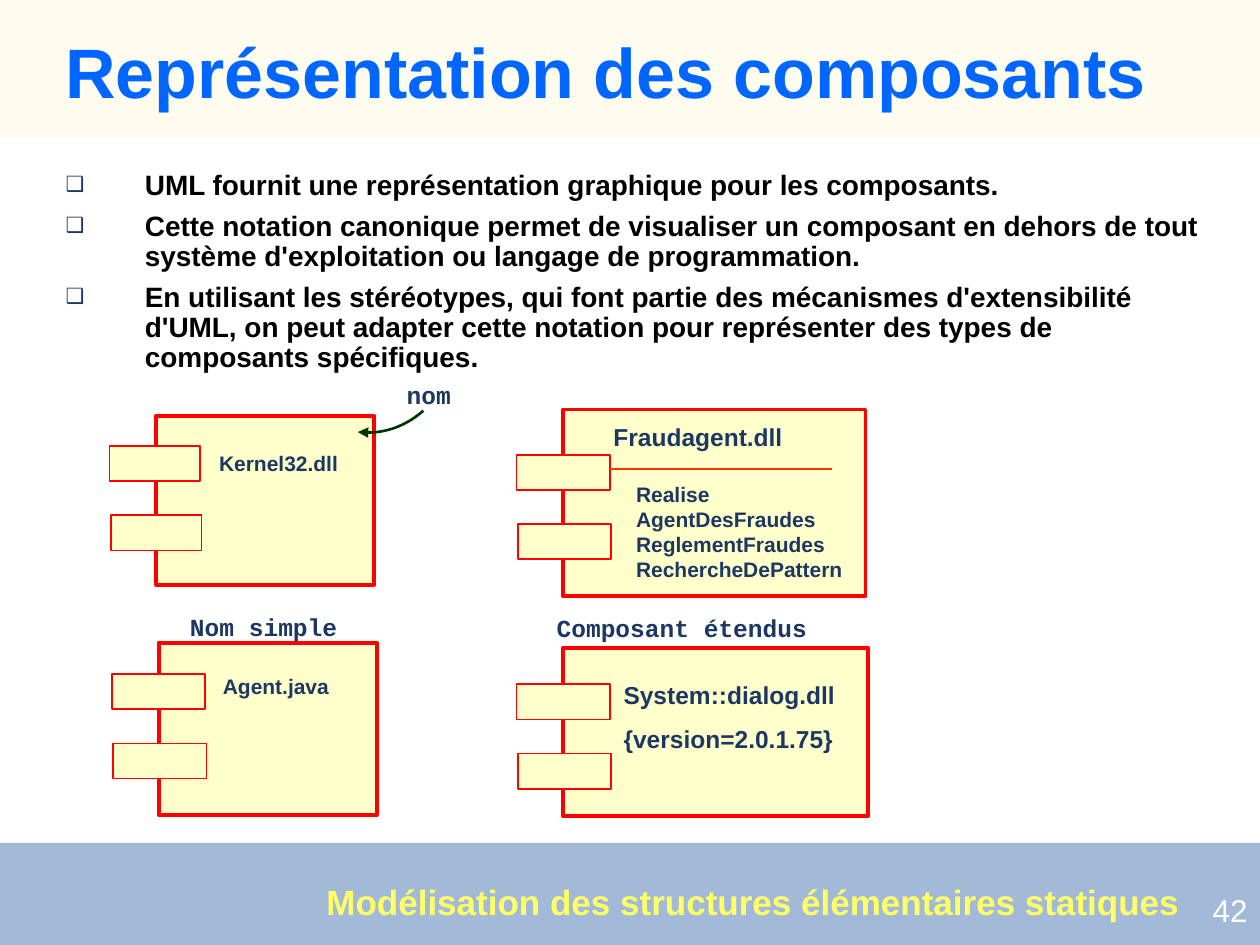
from dataclasses import dataclass

from lxml.etree import SubElement
from pptx import Presentation
from pptx.dml.color import RGBColor as RGB
from pptx.enum.shapes import MSO_CONNECTOR as CONN, MSO_SHAPE as SHAPE
from pptx.enum.text import MSO_ANCHOR as ANCHOR, MSO_AUTO_SIZE as FIT, PP_ALIGN as ALIGN
from pptx.oxml.ns import qn
from pptx.util import Inches, Pt


@dataclass(frozen=True)
class Theme:
    """Colours, fonts and type sizes of the slide."""
    header: str = "FDFCEE"
    footer: str = "A3B9D8"
    title: str = "0066FF"
    body: str = "000000"
    label: str = "1C3862"
    section: str = "FFFF66"
    number: str = "FFFFFF"
    box: str = "FFFFCC"
    border: str = "FF0000"
    divider: str = "FF3300"
    arrow: str = "003300"
    sans: str = "Arial"
    mono: str = "Courier New"
    title_pt: int = 40
    section_pt: int = 20
    number_pt: int = 18
    body_pt: int = 16
    label_pt: int = 14
    small_pt: int = 12


T = Theme()


def write(tf, text, size=T.label_pt, color=T.label, font=T.sans, bold=True,
          align=ALIGN.LEFT, before=0, spacing=None):
    """Fill a text frame with one formatted paragraph per line."""
    for i, line in enumerate(text.split("\n")):
        p = tf.paragraphs[0] if i == 0 else tf.add_paragraph()
        p.alignment = align
        p.space_before = Pt(before)
        p.line_spacing = spacing
        r = p.add_run()
        r.text = line
        r.font.size = Pt(size)
        r.font.name = font
        r.font.bold = bold
        r.font.color.rgb = RGB.from_string(color)


def place(shape, box):
    """Move a shape to a box given in inches."""
    shape.left, shape.top, shape.width, shape.height = map(Inches, box)


def add_label(s, box, text, wrap=True, inset=None, **fmt):
    """Add a text box that grows with its text."""
    tf = s.shapes.add_textbox(*map(Inches, box)).text_frame
    tf.word_wrap = wrap
    tf.auto_size = FIT.SHAPE_TO_FIT_TEXT
    if inset is not None:
        tf.margin_left = tf.margin_right = tf.margin_top = tf.margin_bottom = Inches(inset)
    write(tf, text, **fmt)


def add_box(s, box, fill, border=None, weight=1):
    """Add a flat rectangle with an optional border."""
    sp = s.shapes.add_shape(SHAPE.RECTANGLE, *map(Inches, box))
    sp.shadow.inherit = False
    sp.fill.solid()
    sp.fill.fore_color.rgb = RGB.from_string(fill)
    if border:
        sp.line.color.rgb = RGB.from_string(border)
        sp.line.width = Pt(weight)
    else:
        sp.line.fill.background()


def add_header(s, box):
    """Draw the title band and set the title on it."""
    x, y, w, h = box
    add_box(s, box, T.header)
    title = s.shapes.title
    place(title, (x + 0.42, y + 0.25, w - 0.63, 0.7))
    tf = title.text_frame
    tf.auto_size = FIT.NONE
    tf.vertical_anchor = ANCHOR.MIDDLE
    write(tf, "Représentation des composants", size=T.title_pt, color=T.title, spacing=0.9)


def add_footer(s, box):
    """Draw the bottom band with the section name and page number."""
    x, y, w, h = box
    add_box(s, box, T.footer)
    add_label(s, (x + 2.59, y + 0.3, 6.78, 0.33),
              "Modélisation des structures élémentaires statiques",
              wrap=False, inset=0, size=T.section_pt, color=T.section)
    add_label(s, (x + w - 0.98, y + 0.33, 0.98, 0.4), "42", size=T.number_pt,
              color=T.number, bold=False, align=ALIGN.RIGHT, before=11)


def add_bullets(s, box, lines):
    """Fill the body placeholder with a square-bulleted list."""
    body = s.placeholders[1]
    place(body, box)
    tf = body.text_frame
    tf.auto_size = FIT.NONE
    tf.vertical_anchor = ANCHOR.TOP
    write(tf, "\n".join(lines), size=T.body_pt, color=T.body, before=6, spacing=0.9)
    for p in tf.paragraphs:
        pPr = p._p.get_or_add_pPr()
        pPr.set("marL", str(Inches(0.63)))
        pPr.set("indent", str(-Inches(0.63)))
        SubElement(SubElement(pPr, qn("a:buClr")), qn("a:srgbClr"), val=T.label)
        SubElement(pPr, qn("a:buSzPct"), val="75000")
        SubElement(pPr, qn("a:buChar"), char="❑")


def add_component(s, box, tab_top, tab_width=0.74):
    """Draw a UML component: a body with two tabs on its left edge."""
    x, y, w, h = box
    add_box(s, box, T.box, T.border, 2.25)
    for i in range(2):
        tab = (x - 0.37 + 0.01 * i, y + tab_top + 0.55 * i, tab_width, 0.28)
        add_box(s, tab, T.box, T.border)


def add_divider(s, x, y, width):
    """Draw the thin line below a component name."""
    line = s.shapes.add_connector(CONN.STRAIGHT, *map(Inches, (x, y, x + width, y)))
    line.line.color.rgb = RGB.from_string(T.divider)
    line.line.width = Pt(1)
    SubElement(line._element.spPr, qn("a:effectLst"))


def add_curved_arrow(s, start, bend1, bend2, end, steps=16):
    """Draw a cubic curve with an arrowhead at its start."""
    def point(t):
        weights = ((1 - t) ** 3, 3 * t * (1 - t) ** 2, 3 * t * t * (1 - t), t ** 3)
        return tuple(Inches(sum(k * v for k, v in zip(weights, axis)))
                     for axis in zip(start, bend1, bend2, end))

    fb = s.shapes.build_freeform(*point(0))
    fb.add_line_segments([point(i / steps) for i in range(1, steps + 1)], close=False)
    sp = fb.convert_to_shape()
    sp.shadow.inherit = False
    sp.fill.background()
    sp.line.color.rgb = RGB.from_string(T.arrow)
    sp.line.width = Pt(1.5)
    SubElement(sp.line._get_or_add_ln(), qn("a:headEnd"), type="triangle")


def add_simple_names(s, x, y):
    """Place the two components with simple names."""
    add_component(s, (x, y, 1.73, 1.34), 0.24, 0.72)
    add_label(s, (x + 0.4, y + 0.23, 1.42, 0.3), "Kernel32.dll", size=T.small_pt, before=7)
    add_curved_arrow(s, (x + 1.6, y + 0.13), (x + 1.78, y + 0.15),
                     (x + 1.96, y + 0.1), (x + 2.12, y - 0.04))
    add_label(s, (x + 1.89, y - 0.33, 0.76, 0.33), "nom", font=T.mono, before=8)
    add_component(s, (x + 0.02, y + 1.8, 1.73, 1.37), 0.25)
    add_label(s, (x + 0.43, y + 2, 1.42, 0.3), "Agent.java", size=T.small_pt, before=7)
    add_label(s, (x + 0.17, y + 1.51, 1.7, 0.33), "Nom simple", font=T.mono, before=8)


def add_extended(s, x, y):
    """Place the two extended components."""
    add_component(s, (x, y, 2.4, 1.48), 0.36)
    add_label(s, (x + 0.48, y + 0.52, 1.87, 0.9),
              "Realise\nAgentDesFraudes\nReglementFraudes\nRechercheDePattern", size=T.small_pt)
    add_label(s, (x + 0.3, y + 0.05, 1.88, 0.33), "Fraudagent.dll", before=8)
    add_divider(s, x + 0.37, y + 0.47, 1.76)
    add_component(s, (x, y + 1.89, 2.42, 1.34), 0.29)
    add_label(s, (x - 0.15, y + 1.57, 2.26, 0.33), "Composant étendus", font=T.mono, before=8)
    add_label(s, (x + 0.38, y + 2.1, 1.89, 0.68),
              "System::dialog.dll\n{version=2.0.1.75}", before=8)


def main():
    """Build the slide and save it."""
    prs = Presentation()
    prs.slide_width, prs.slide_height = Inches(10), Inches(7.5)
    s = prs.slides.add_slide(prs.slide_layouts[1])
    add_header(s, (0, 0, 10, 1.09))
    add_footer(s, (0, 6.69, 10, 0.81))
    add_bullets(s, (0.42, 1.31, 9.38, 1.71), (
        "UML fournit une représentation graphique pour les composants.",
        "Cette notation canonique permet de visualiser un composant en dehors de tout "
        "système d'exploitation ou langage de programmation.",
        "En utilisant les stéréotypes, qui font partie des mécanismes d'extensibilité "
        "d'UML, on peut adapter cette notation pour représenter des types de "
        "composants spécifiques."))
    add_simple_names(s, 1.24, 3.3)
    add_extended(s, 4.47, 3.25)
    for sp in (s.shapes.title, s.placeholders[1]):
        s.shapes._spTree.append(sp._element)
    prs.save("out.pptx")


if __name__ == "__main__":
    main()
